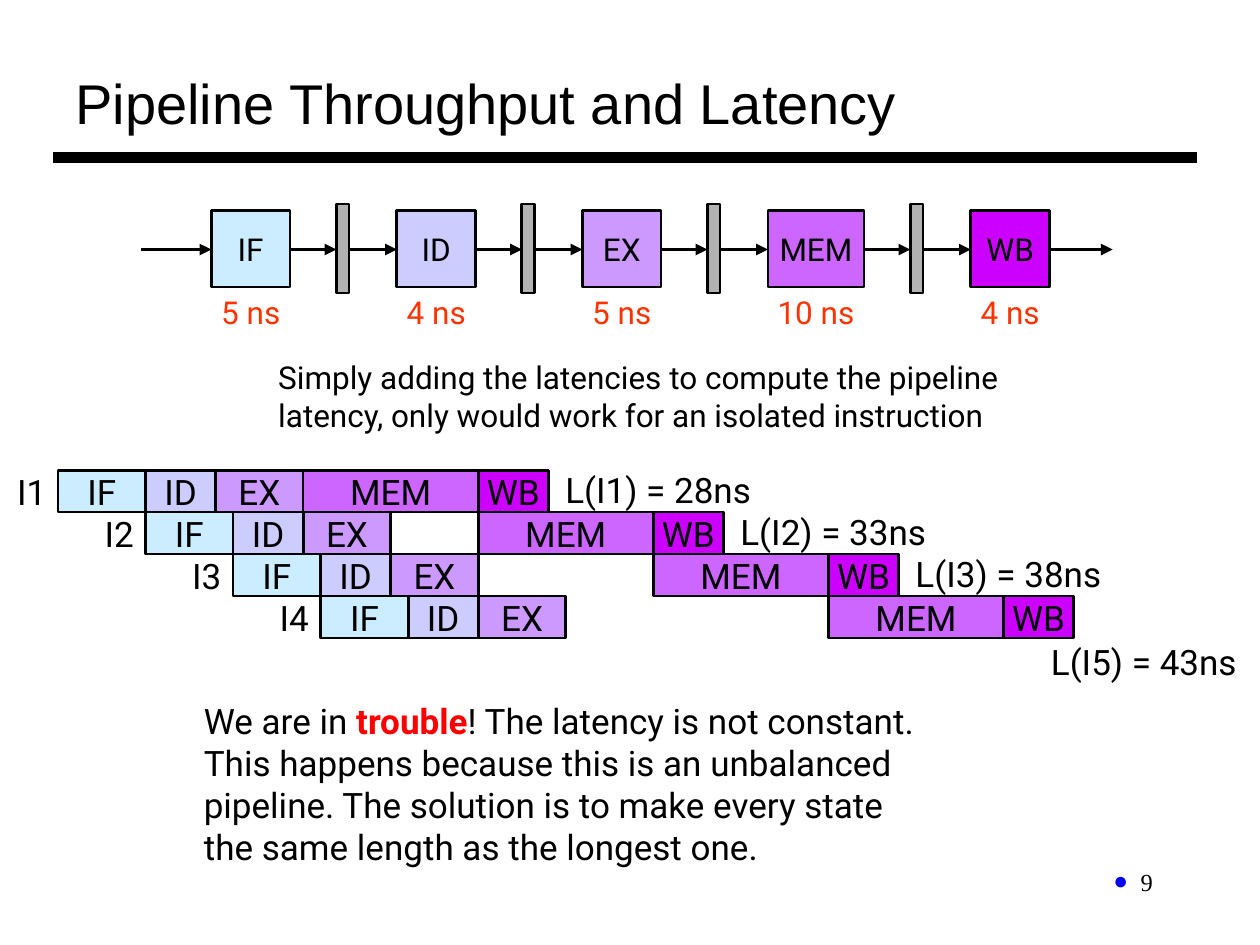
import pptx
import pptx.util
import pptx.dml.color
import pptx.enum.shapes
import pptx.enum.text
import pptx.oxml.ns
import lxml.etree

Cm, Pt = pptx.util.Cm, pptx.util.Pt
Align = pptx.enum.text.PP_ALIGN
Anchor = pptx.enum.text.MSO_ANCHOR
Fit = pptx.enum.text.MSO_AUTO_SIZE

HUES = {
    "ink": "000000", "IF": "CCECFF", "ID": "CCCCFF", "EX": "CC99FF",
    "MEM": "CC66FF", "WB": "CC00FF", "latch": "B2B2B2", "time": "FF3300",
    "alarm": "FF0000", "dot": "0000FF",
}
STAGES = {"IF": 5, "ID": 4, "EX": 5, "MEM": 10, "WB": 4}  # ns


def tint(name):
    return pptx.dml.color.RGBColor.from_string(HUES[name])


def child(parent, tag, **attrs):
    node = lxml.etree.SubElement(parent, pptx.oxml.ns.qn(tag))
    for key, value in attrs.items():
        node.set(key, value)
    return node


class Board:
    font = "Roboto"

    def __init__(self, slide):
        self.slide = slide

    def letter(self, frame, lines, size, align, font=None):
        """Fill a frame; each line is a list of (text, colour, bold) runs."""
        for i, runs in enumerate(lines):
            para = frame.paragraphs[0] if i == 0 else frame.add_paragraph()
            para.alignment = align
            for words, hue, bold in runs:
                run = para.add_run()
                run.text = words
                run.font.name = font or self.font
                run.font.size = Pt(size)
                run.font.bold = bold
                run.font.color.rgb = tint(hue)

    def text(self, left, top, width, height, lines, size, align=Align.CENTER,
             font=None, anchor=Anchor.MIDDLE, wrap=False):
        """Add a text box and return its first paragraph."""
        box = self.slide.shapes.add_textbox(Cm(left), Cm(top), Cm(width), Cm(height))
        frame = box.text_frame
        frame.word_wrap = wrap
        frame.auto_size = Fit.SHAPE_TO_FIT_TEXT
        frame.vertical_anchor = anchor
        self.letter(frame, lines, size, align, font)
        return frame.paragraphs[0]

    def label(self, left, top, width, height, words, size, hue="ink"):
        self.text(left, top, width, height, [[(words, hue, False)]], size)

    def box(self, left, top, width, height, hue, words="", size=18):
        shape = self.slide.shapes.add_shape(
            pptx.enum.shapes.MSO_SHAPE.RECTANGLE,
            Cm(left), Cm(top), Cm(width), Cm(height))
        shape.shadow.inherit = False
        shape.fill.solid()
        shape.fill.fore_color.rgb = tint(hue)
        shape.line.color.rgb = tint("ink")
        shape.line.width = Pt(1.5)
        if words:
            frame = shape.text_frame
            frame.word_wrap = False
            frame.vertical_anchor = Anchor.MIDDLE
            self.letter(frame, [[(words, "ink", False)]], size, Align.CENTER)

    def line(self, start, end, y, width=2.25, arrow=True):
        wire = self.slide.shapes.add_connector(
            pptx.enum.shapes.MSO_CONNECTOR.STRAIGHT,
            Cm(start), Cm(y), Cm(end), Cm(y))
        wire.line.color.rgb = tint("ink")
        wire.line.width = Pt(width)
        props = wire._element.spPr
        if arrow:
            child(props.find(pptx.oxml.ns.qn("a:ln")), "a:tailEnd", type="triangle")
        child(props, "a:effectLst")


def draw_path(board):
    """Stages in a row, a latch between each pair, times below."""
    gap, lead, thick, mid = 2.15, 0.93, 0.26, 5.03
    left = 4.26
    board.line(2.84, left, mid)
    for name, time in STAGES.items():
        width = 1.94 if name == "MEM" else 1.59
        right = left + width
        board.box(left, 4.24, width, 1.55, name, name)
        board.label(left - 0.07, 5.77, width + 0.14, 1.02, f"{time} ns", 18, "time")
        if name == "WB":
            board.line(right, right + 1.27, mid)
        else:
            latch = right + lead
            board.line(right, latch, mid)
            board.box(latch, 4.11, thick, 1.8, "latch")
            board.line(latch + thick, right + gap, mid)
        left = right + gap


def draw_chart(board):
    """Each instruction starts one IF later; MEM waits for the one before."""
    unit, origin, first, step = 0.353, 1.17, 9.48, 0.846
    totals = ["L(I1) = 28ns", "L(I2) = 33ns", "L(I3) = 38ns", "L(I5) = 43ns"]
    for row, total in enumerate(totals):
        top = first + row * step
        clock = row * STAGES["IF"]
        board.label(origin + clock * unit - 1.1, top - 0.13, 1.14, 1.11, f"I{row + 1}", 20)
        for name, time in STAGES.items():
            if name == "MEM":
                clock += row * (STAGES["MEM"] - STAGES["IF"])
            board.box(origin + clock * unit, top, time * unit, step, name, name, 20)
            clock += time
        end = origin + clock * unit
        if row < 3:
            board.label(end + 0.07, top - 0.16, 4.29, 1.11, total, 20)
        else:
            board.label(end - 0.73, top + 0.76, 4.29, 1.11, total, 20)


def main():
    deck = pptx.Presentation()
    deck.slide_width, deck.slide_height = Cm(25.4), Cm(19.05)
    board = Board(deck.slides.add_slide(deck.slide_layouts[6]))

    title = board.text(1.27, 1.09, 17.09, 1.78,
                       [[("Pipeline Throughput and Latency", "ink", False)]],
                       32, Align.LEFT, "Arial", Anchor.TOP)
    title.line_spacing = Pt(43)
    board.line(1.07, 24.13, 3.18, 6, arrow=False)

    draw_path(board)
    board.text(5.36, 7.09, 15.98, 1.78, [
        [("Simply adding the latencies to compute the pipeline", "ink", False)],
        [("latency, only would work for an isolated instruction", "ink", False)],
    ], 18, Align.LEFT)

    draw_chart(board)
    board.text(3.86, 13.97, 16.79, 3.66, [
        [("We are in ", "ink", False), ("trouble", "alarm", True),
         ("! The latency is not constant.", "ink", False)],
        [("This happens because this is an unbalanced", "ink", False)],
        [("pipeline. The solution is to make every state", "ink", False)],
        [("the same length as the longest one.", "ink", False)],
    ], 20, Align.JUSTIFY, wrap=True)

    page = board.text(18.21, 17.35, 5.28, 1.27, [[("9", "ink", False)]], 14,
                      Align.RIGHT, "Times New Roman", Anchor.TOP, True)
    props = page._p.get_or_add_pPr()
    props.set("marL", str(Cm(0.55)))
    props.set("indent", str(-Cm(0.55)))
    child(child(props, "a:buClr"), "a:srgbClr", val=HUES["dot"])
    child(props, "a:buFont", typeface="Times New Roman")
    child(props, "a:buChar", char="●")

    deck.save("out.pptx")


if __name__ == "__main__":
    main()
